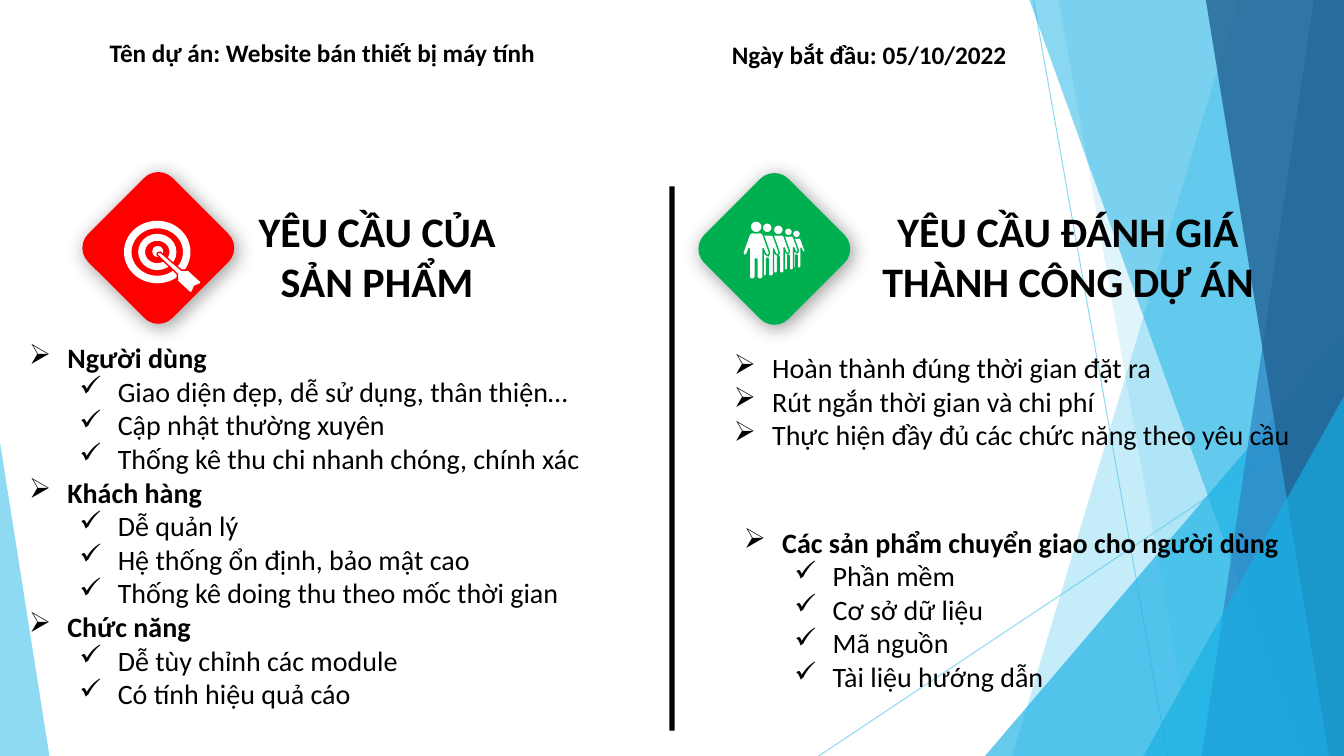
from dataclasses import dataclass
from typing import Optional

import pptx
import pptx.dml.color
import pptx.dml.fill
import pptx.enum.shapes
import pptx.enum.text
import pptx.oxml
import pptx.oxml.ns
import pptx.util
from pptx.util import Inches

Shape = pptx.enum.shapes.MSO_SHAPE
Align = pptx.enum.text.PP_ALIGN
FONT = "Calibri"
SKY, CYAN, BLUE, NAVY = "5FCBEF", "17B0E4", "2E83C3", "226292"
BLACK, WHITE, RED, GREEN = "000000", "FFFFFF", "FF0000", "00B050"
UNITS = 1000  # freeform units per inch


@dataclass
class Facet:
    points: list[tuple[float, float]]
    color: str
    opacity: int


@dataclass
class Wedge:
    box: tuple[float, float, float, float]
    apex: float
    color: str
    opacity: int


@dataclass
class Person:
    x: float
    head_y: float
    head_radius: float
    shoulder_y: float
    height: float


@dataclass
class Label:
    box: tuple[float, float, float, float]
    text: str
    size: int
    align: Align
    wrap: bool


@dataclass
class BulletList:
    box: tuple[float, float, float, float]
    wrap: bool
    groups: list[tuple[str, list[str]]]
    bold_heads: bool


RIGHT, BOTTOM = 13.33, 7.5
BACKDROP = [
    Facet([(12.28, 0), (RIGHT, 0), (RIGHT, BOTTOM), (10.04, BOTTOM)], SKY, 36),
    Facet([(10.5, 0), (RIGHT, 0), (RIGHT, BOTTOM), (11.83, BOTTOM)], SKY, 20),
    Wedge((9.77, 3.33, 3.56, 4.17), 1, CYAN, 66),
    Facet([(10.21, 0), (RIGHT, 0), (RIGHT, BOTTOM), (12.91, BOTTOM)], CYAN, 50),
    Facet([(13.03, 0), (RIGHT, 0), (RIGHT, BOTTOM), (11.92, BOTTOM)], BLUE, 70),
    Facet([(11.96, 0), (RIGHT, 0), (RIGHT, BOTTOM), (13.18, BOTTOM)], NAVY, 80),
    Wedge((11.34, 3.93, 1.99, 3.57), 1, CYAN, 66),
    Wedge((0, 4.39, 0.49, 3.11), 0, SKY, 70),
]
RAYS = [(10.25, 0, 11.58, 7.5), (13.33, 4.03, 8.12, 7.5)]

# Figures from the back of the queue to the front
TEAM = [
    Person(7.9, 2.32, 0.04, 2.36, 0.3),
    Person(7.82, 2.3, 0.04, 2.34, 0.34),
    Person(7.72, 2.28, 0.05, 2.33, 0.38),
    Person(7.61, 2.26, 0.05, 2.33, 0.41),
    Person(7.5, 2.25, 0.06, 2.31, 0.46),
]
# Right half of a body, as shares of its height
BODY_HALF = [(0.11, 0), (0.15, 0.04), (0.29, 0.43), (0.26, 0.5), (0.2, 0.46), (0.15, 0.34),
             (0.15, 0.96), (0.12, 1), (0.05, 1), (0.02, 0.96), (0.02, 0.57)]
ARROW = [(1.59, 2.5), (1.8, 2.68), (1.87, 2.68), (2, 2.8), (1.98, 2.82), (1.93, 2.84),
         (1.91, 2.89), (1.89, 2.91), (1.76, 2.79), (1.76, 2.72), (1.56, 2.53), (1.56, 2.51)]

LABELS = [
    Label((2.1, 1.99, 3.28, 1.11), "YÊU CẦU CỦA SẢN PHẨM", 30, Align.CENTER, True),
    Label((8.51, 1.99, 4.17, 1.11), "YÊU CẦU ĐÁNH GIÁ THÀNH CÔNG DỰ ÁN", 30, Align.CENTER, True),
    Label((0.99, 0.32, 5.43, 0.4), "Tên dự án: Website bán thiết bị máy tính", 18, Align.JUSTIFY, False),
    Label((7.16, 0.34, 3.01, 0.4), "Ngày bắt đầu: 05/10/2022", 18, Align.JUSTIFY, False),
]
LISTS = [
    BulletList((0.19, 3.33, 6.3, 3.8), True, [
        ("Người dùng", ["Giao diện đẹp, dễ sử dụng, thân thiện…", "Cập nhật thường xuyên",
                        "Thống kê thu chi nhanh chóng, chính xác"]),
        ("Khách hàng", ["Dễ quản lý", "Hệ thống ổn định, bảo mật cao",
                        "Thống kê doing thu theo mốc thời gian"]),
        ("Chức năng", ["Dễ tùy chỉnh các module", "Có tính hiệu quả cáo"]),
    ], True),
    BulletList((7.18, 3.43, 5.76, 1.11), False, [
        ("Hoàn thành đúng thời gian đặt ra", []),
        ("Rút ngắn thời gian và chi phí", []),
        ("Thực hiện đầy đủ các chức năng theo yêu cầu", []),
    ], False),
    BulletList((7.28, 5.16, 5.55, 1.78), False, [
        ("Các sản phẩm chuyển giao cho người dùng",
         ["Phần mềm", "Cơ sở dữ liệu", "Mã nguồn", "Tài liệu hướng dẫn"]),
    ], True),
]


def rgb(color: str) -> pptx.dml.color.RGBColor:
    return pptx.dml.color.RGBColor.from_string(color)


def add_xml(parent, xml: str) -> None:
    parent.append(pptx.oxml.parse_xml(xml.replace(">", f" {pptx.oxml.ns.nsdecls('a')}>", 1)
                                      if "/>" not in xml.split(">")[0] + ">"
                                      else xml.replace("/>", f" {pptx.oxml.ns.nsdecls('a')}/>", 1)))


def set_opacity(shape, percent: int) -> None:
    for color in shape._element.spPr.iter(pptx.oxml.ns.qn("a:srgbClr")):
        add_xml(color, f'<a:alpha val="{percent * 1000}"/>')


def paint(shape, color: str, opacity: int = 100, edge: Optional[str] = None):
    shape.shadow.inherit = False
    shape.fill.solid()
    shape.fill.fore_color.rgb = rgb(color)
    if edge:
        shape.line.color.rgb = rgb(edge)
        shape.line.width = pptx.util.Pt(1)
    else:
        shape.line.fill.background()
    if opacity < 100:
        set_opacity(shape, opacity)
    return shape


def add_preset(shapes, kind, box: tuple, color: str, opacity: int = 100,
               adjust: Optional[float] = None, edge: Optional[str] = None):
    shape = shapes.add_shape(kind, *map(Inches, box))
    if adjust is not None:
        shape.adjustments[0] = adjust
    return paint(shape, color, opacity, edge)


def add_polygon(shapes, points: list, color: str, opacity: int = 100, edge: Optional[str] = None):
    scaled = [(x * UNITS, y * UNITS) for x, y in points]
    outline = shapes.build_freeform(*scaled[0], scale=Inches(1) / UNITS)
    outline.add_line_segments(scaled[1:], close=True)
    return paint(outline.convert_to_shape(), color, opacity, edge)


def add_ray(shapes, ends: tuple) -> None:
    ray = shapes.add_connector(pptx.enum.shapes.MSO_CONNECTOR.STRAIGHT, *map(Inches, ends))
    ray.line.color.rgb = rgb(SKY)
    ray.line.width = pptx.util.Pt(0.75)
    set_opacity(ray, 70)
    add_xml(ray._element.spPr, "<a:effectLst/>")


def add_badge(shapes, left: float, top: float, color: str) -> None:
    badge = add_preset(shapes, Shape.ROUNDED_RECTANGLE, (left, top, 1.18, 1.18), color)
    badge.rotation = 45
    effects = badge._element.spPr.find(pptx.oxml.ns.qn("a:effectLst"))
    add_xml(effects, '<a:outerShdw blurRad="177800" dist="38100" dir="2700000" rotWithShape="0">'
                     '<a:srgbClr val="000000"><a:alpha val="40000"/></a:srgbClr></a:outerShdw>')


def add_target(shapes) -> None:
    for rx, ry, band in [(0.33, 0.31, 0.12), (0.19, 0.18, 0.19)]:
        add_preset(shapes, Shape.DONUT, (1.56 - rx, 2.5 - ry, 2 * rx, 2 * ry), WHITE, adjust=band)
    add_preset(shapes, Shape.OVAL, (1.51, 2.44, 0.11, 0.11), WHITE)
    add_polygon(shapes, ARROW, WHITE, edge=RED)


def add_person(shapes, person: Person) -> None:
    halves = BODY_HALF + [(-x, y) for x, y in reversed(BODY_HALF)]
    body = [(person.x + x * person.height, person.shoulder_y + y * person.height) for x, y in halves]
    add_polygon(shapes, body, WHITE, edge=GREEN)
    r = person.head_radius
    add_preset(shapes, Shape.OVAL, (person.x - r, person.head_y - r, 2 * r, 2 * r), WHITE, edge=GREEN)


def add_text_frame(shapes, box: tuple, wrap: bool):
    frame = shapes.add_textbox(*map(Inches, box)).text_frame
    frame.word_wrap = wrap
    frame.auto_size = pptx.enum.text.MSO_AUTO_SIZE.SHAPE_TO_FIT_TEXT
    return frame


def write(paragraph, text: str, size: int, bold: bool, align: Align) -> None:
    paragraph.text = text
    paragraph.alignment = align
    font = paragraph.runs[0].font
    font.name, font.size, font.bold = FONT, pptx.util.Pt(size), bold
    font.color.rgb = rgb(BLACK)


def add_label(shapes, label: Label) -> None:
    frame = add_text_frame(shapes, label.box, label.wrap)
    write(frame.paragraphs[0], label.text, label.size, True, label.align)


def add_bullets(shapes, bullets: BulletList) -> None:
    frame = add_text_frame(shapes, bullets.box, bullets.wrap)
    rows = [(text, level) for head, items in bullets.groups
            for text, level in [(head, 0)] + [(item, 1) for item in items]]
    for index, (text, level) in enumerate(rows):
        paragraph = frame.add_paragraph() if index else frame.paragraphs[0]
        write(paragraph, text, 20, bullets.bold_heads and level == 0, Align.JUSTIFY)
        paragraph.level = level
        properties = paragraph._p.get_or_add_pPr()
        properties.set("marL", str(Inches(0.38 + 0.5 * level)))
        properties.set("indent", str(-Inches(0.38)))
        add_xml(properties, f'<a:buChar char="{"➢✓"[level]}"/>')


def main() -> None:
    deck = pptx.Presentation()
    deck.slide_width, deck.slide_height = Inches(13.33), Inches(7.5)
    shapes = deck.slides.add_slide(deck.slide_layouts[6]).shapes

    # Faceted backdrop
    for ends in RAYS:
        add_ray(shapes, ends)
    for part in BACKDROP:
        if isinstance(part, Facet):
            add_polygon(shapes, part.points, part.color, part.opacity)
        else:
            add_preset(shapes, Shape.ISOSCELES_TRIANGLE, part.box, part.color, part.opacity, part.apex)

    # Badges and divider
    add_badge(shapes, 0.98, 1.87, RED)
    add_target(shapes)
    add_preset(shapes, Shape.RECTANGLE, (6.64, 1.85, 0.05, 5.4), BLACK)
    add_badge(shapes, 7.09, 1.88, GREEN)
    for person in TEAM:
        add_person(shapes, person)

    # Headings, project facts and requirement lists
    for label in LABELS:
        add_label(shapes, label)
    for bullets in LISTS:
        add_bullets(shapes, bullets)

    deck.save("out.pptx")


if __name__ == "__main__":
    main()
